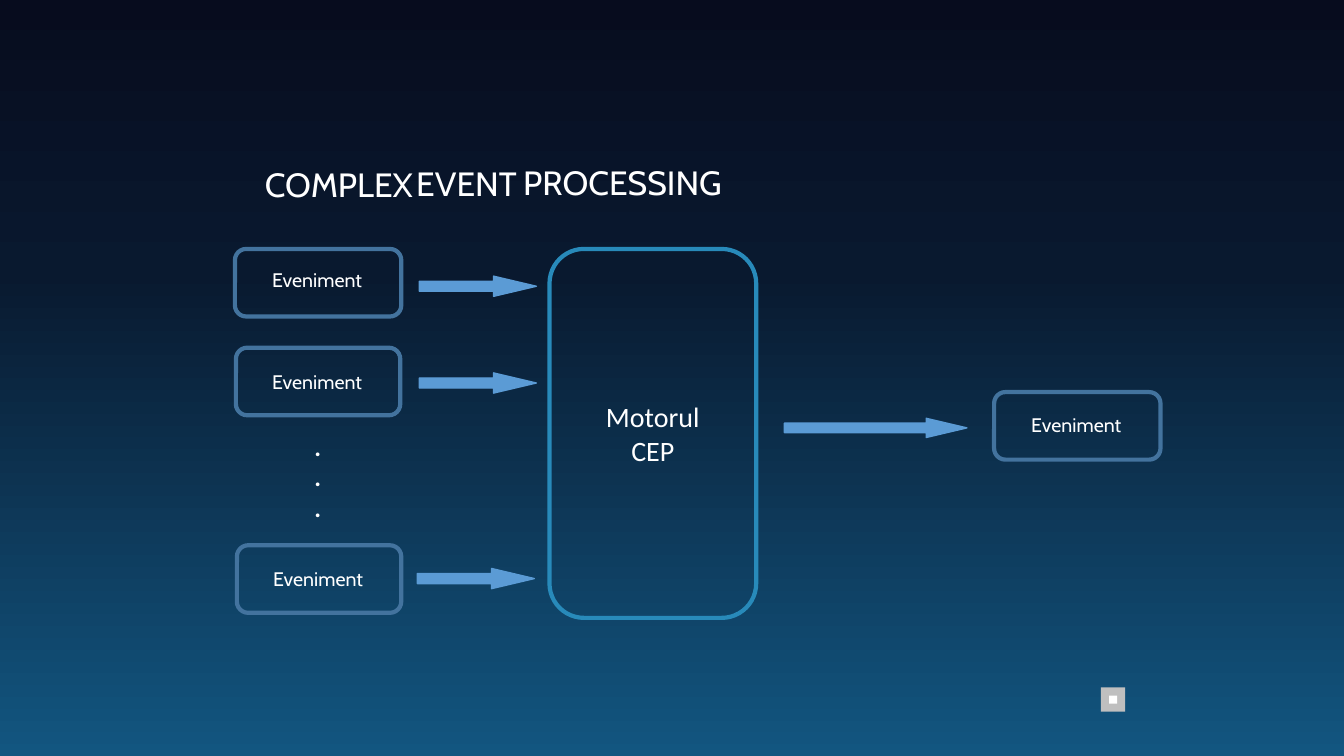
from copy import deepcopy
from dataclasses import dataclass

from pptx import Presentation
from pptx.dml.color import RGBColor
from pptx.enum import shapes, text
from pptx.oxml import ns
from pptx.util import Inches, Pt


@dataclass(frozen=True)
class Theme:
    backdrop: tuple = ((0, "070C1E"), (36, "09192F"), (100, "125680"))
    ink: str = "FFFFFF"
    event: str = "43739E"
    engine: str = "288ABA"
    arrow: str = "5B9BD5"
    marker: str = "BFBFBF"
    heading_font: str = "Cabin"
    body_font: str = "Calibri"
    title_size: int = 24
    engine_size: int = 20
    dots_size: int = 18
    event_size: int = 14
    outline: int = 3


@dataclass(frozen=True)
class Box:
    left: float
    top: float
    width: float
    height: float

    def lengths(self) -> tuple:
        return tuple(Inches(v) for v in (self.left, self.top, self.width, self.height))


@dataclass(frozen=True)
class Event:
    frame: Box
    label_left: float
    label_top: float


THEME = Theme()

TITLE_WORDS = (
    ("COMPLEX", Box(2.53, 1.58, 1.94, 0.5)),
    ("EVENT", Box(4.03, 1.57, 1.41, 0.5)),
    ("PROCESSING", Box(5.09, 1.56, 2.54, 0.5)),
)
EVENTS = (
    Event(Box(2.33, 2.47, 1.65, 0.67), 2.6, 2.61),
    Event(Box(2.34, 3.45, 1.63, 0.67), 2.6, 3.62),
    Event(Box(2.35, 5.41, 1.63, 0.67), 2.61, 5.58),
    Event(Box(9.86, 3.89, 1.65, 0.67), 10.13, 4.05),
)
ARROWS = (
    Box(4.16, 2.74, 1.16, 0.2),
    Box(4.16, 3.7, 1.16, 0.2),
    Box(4.14, 5.64, 1.16, 0.2),
    Box(7.78, 4.15, 1.81, 0.19),
)
ENGINE = Box(5.45, 2.47, 2.05, 3.66)
DOTS = Box(3.02, 4.23, 0.27, 1.01)
MARKER = (
    (Box(10.92, 6.82, 0.24, 0.24), THEME.marker),
    (Box(11, 6.9, 0.08, 0.08), THEME.ink),
)


def rgb(code: str) -> RGBColor:
    return RGBColor.from_string(code)


def paint_backdrop(slide) -> None:
    """Fill the background with a vertical gradient of any number of stops."""
    fill = slide.background.fill
    fill.gradient()
    fill.gradient_angle = 270
    stop_list = next(slide.element.iter(ns.qn("a:gsLst")))
    while len(stop_list) < len(THEME.backdrop):
        stop_list.append(deepcopy(stop_list[0]))
    for stop, (percent, code) in zip(fill.gradient_stops, THEME.backdrop):
        stop.position = percent / 100
        stop.color.rgb = rgb(code)


def write(frame, words: str, size: int, font: str, bold: bool = False,
          align: text.PP_ALIGN = text.PP_ALIGN.LEFT) -> None:
    frame.text = words
    for paragraph in frame.paragraphs:
        paragraph.alignment = align
        for run in paragraph.runs:
            run.font.size = Pt(size)
            run.font.name = font
            run.font.bold = bold
            run.font.color.rgb = rgb(THEME.ink)


def add_label(slide, words: str, box: Box, size: int, font: str,
              bold: bool = False) -> None:
    frame = slide.shapes.add_textbox(*box.lengths()).text_frame
    frame.word_wrap = True
    write(frame, words, size, font, bold)


def add_solid(slide, kind: shapes.MSO_SHAPE, box: Box, color: str):
    solid = slide.shapes.add_shape(kind, *box.lengths())
    solid.shadow.inherit = False
    solid.fill.solid()
    solid.fill.fore_color.rgb = rgb(color)
    solid.line.fill.background()
    return solid


def add_outline(slide, box: Box, color: str):
    outline = slide.shapes.add_shape(shapes.MSO_SHAPE.ROUNDED_RECTANGLE, *box.lengths())
    outline.shadow.inherit = False
    outline.fill.background()
    outline.line.color.rgb = rgb(color)
    outline.line.width = Pt(THEME.outline)
    return outline


def add_arrow(slide, box: Box) -> None:
    arrow = add_solid(slide, shapes.MSO_SHAPE.RIGHT_ARROW, box, THEME.arrow)
    arrow.adjustments[0] = 0.5
    arrow.adjustments[1] = 2.12
    arrow.line.color.rgb = rgb(THEME.arrow)
    arrow.line.width = Pt(1)


def add_engine(slide) -> None:
    frame = add_outline(slide, ENGINE, THEME.engine).text_frame
    frame.word_wrap = True
    frame.vertical_anchor = text.MSO_ANCHOR.MIDDLE
    write(frame, "Motorul\nCEP", THEME.engine_size, THEME.body_font,
          align=text.PP_ALIGN.CENTER)


def add_event(slide, event: Event) -> None:
    add_outline(slide, event.frame, THEME.event)
    add_label(slide, "Eveniment", Box(event.label_left, event.label_top, 1.13, 0.34),
              THEME.event_size, THEME.heading_font)


def main() -> None:
    deck = Presentation()
    deck.slide_width, deck.slide_height = Inches(13.33), Inches(7.5)
    slide = deck.slides.add_slide(deck.slide_layouts[6])
    paint_backdrop(slide)
    for box, color in MARKER:
        add_solid(slide, shapes.MSO_SHAPE.RECTANGLE, box, color)
    for word, box in TITLE_WORDS:
        add_label(slide, word, box, THEME.title_size, THEME.heading_font)
    add_label(slide, ".\n.\n.", DOTS, THEME.dots_size, THEME.body_font, bold=True)
    add_engine(slide)
    for box in ARROWS:
        add_arrow(slide, box)
    for event in EVENTS:
        add_event(slide, event)
    deck.save("out.pptx")


if __name__ == "__main__":
    main()
